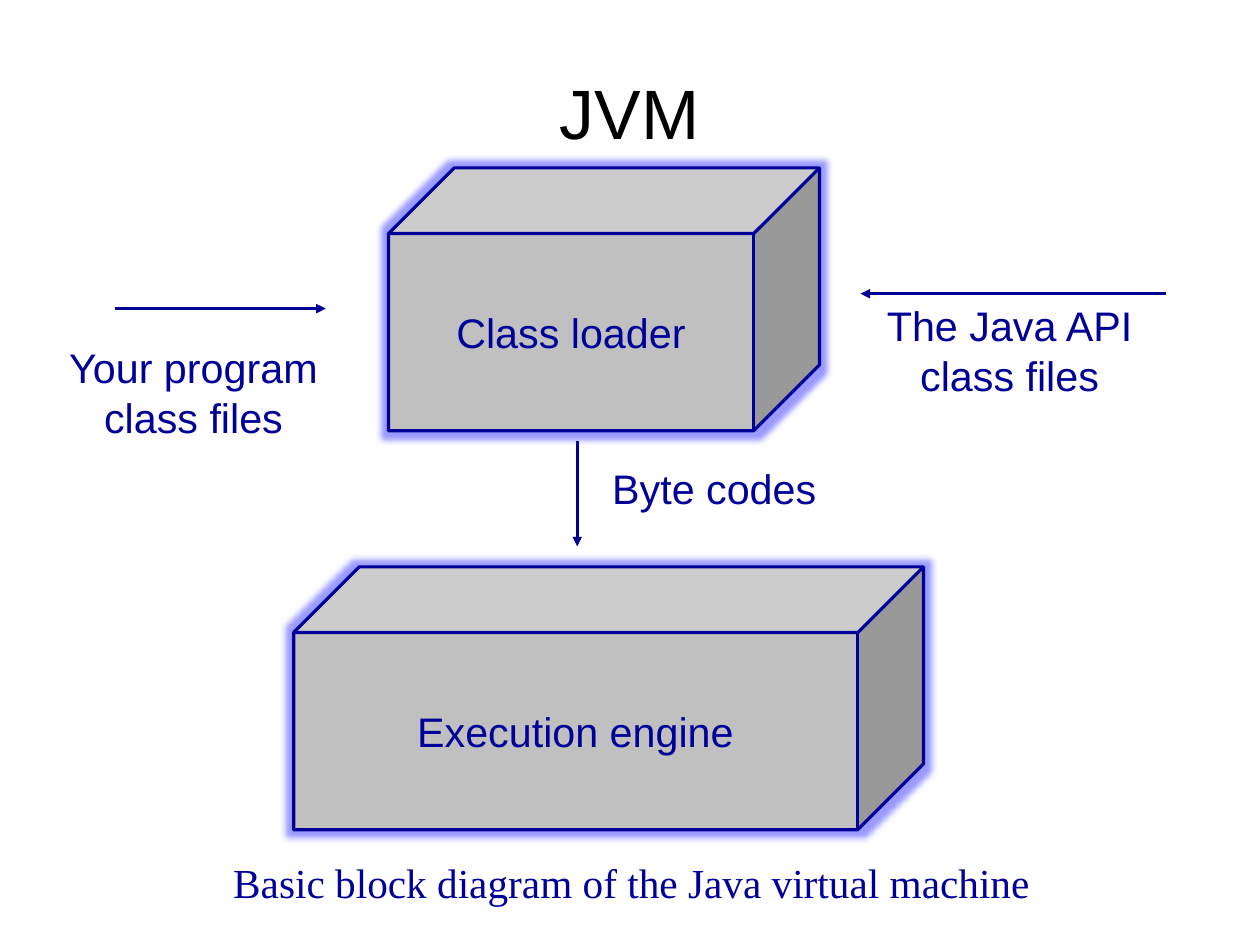
from lxml import etree
from pptx import Presentation
from pptx import util as u
from pptx.dml.color import RGBColor
from pptx.enum import shapes, text
from pptx.oxml.ns import qn

COLORS = {"ink": "000099", "title": "000000", "face": "C0C0C0", "glow": "9999FF"}
SANS, SERIF = "Arial", "Times New Roman"
LABEL_SIZE = 26
LINE_WIDTH = 2


def color(name):
    return RGBColor.from_string(COLORS[name])


def points(*values):
    return [u.Pt(value) for value in values]


def set_frame(frame, anchor, side=7.92, edge=4.32, wrap=False):
    frame.margin_left = frame.margin_right = u.Pt(side)
    frame.margin_top = frame.margin_bottom = u.Pt(edge)
    frame.vertical_anchor = anchor
    frame.word_wrap = wrap


def write(frame, lines, size=LABEL_SIZE, font=SANS, ink="ink", align=text.PP_ALIGN.CENTER):
    for index, line in enumerate(lines):
        para = frame.add_paragraph() if index else frame.paragraphs[0]
        para.alignment = align
        span = para.add_run()
        span.text = line
        span.font.size = u.Pt(size)
        span.font.name = font
        span.font.color.rgb = color(ink)


def style_line(line):
    line.color.rgb = color("ink")
    line.width = u.Pt(LINE_WIDTH)


def add_title(page, box, line):
    title = page.shapes.title
    title.left, title.top, title.width, title.height = points(*box)
    frame = title.text_frame
    set_frame(frame, text.MSO_ANCHOR.MIDDLE, 0, 0, wrap=True)
    frame.auto_size = text.MSO_AUTO_SIZE.NONE
    write(frame, [line], 44, ink="title")
    frame.paragraphs[0].line_spacing = 0.93


def add_block(page, box, line):
    """A glowing cube with its name on the front face."""
    cube = page.shapes.add_shape(shapes.MSO_SHAPE.CUBE, *points(*box))
    cube.adjustments[0] = 0.25
    cube.fill.solid()
    cube.fill.fore_color.rgb = color("face")
    style_line(cube.line)
    cube.shadow.inherit = False
    effects = cube._element.spPr.find(qn("a:effectLst"))
    glow = etree.SubElement(effects, qn("a:glow"), rad=str(u.Pt(8)))
    etree.SubElement(glow, qn("a:srgbClr"), val=COLORS["glow"])
    set_frame(cube.text_frame, text.MSO_ANCHOR.MIDDLE)
    write(cube.text_frame, [line])


def add_label(page, box, lines, wrap=False, **style):
    frame = page.shapes.add_textbox(*points(*box)).text_frame
    set_frame(frame, text.MSO_ANCHOR.TOP, wrap=wrap)
    frame.auto_size = text.MSO_AUTO_SIZE.SHAPE_TO_FIT_TEXT
    write(frame, lines, **style)


def add_flow(page, box, lines, start, end):
    """A label with its arrow; start and end are offsets from the box corner."""
    left, top = box[:2]
    arrow = page.shapes.add_connector(
        shapes.MSO_CONNECTOR.STRAIGHT,
        *points(left + start[0], top + start[1], left + end[0], top + end[1]))
    style_line(arrow.line)
    etree.SubElement(arrow.line._get_or_add_ln(), qn("a:tailEnd"), type="triangle")
    etree.SubElement(arrow._element.spPr, qn("a:effectLst"))
    add_label(page, box, lines)


def main():
    deck = Presentation()
    deck.slide_width, deck.slide_height = points(793.7, 595.28)
    page = deck.slides.add_slide(deck.slide_layouts[5])

    add_title(page, (39.6, 23.5, 714.2, 99.4), "JVM")

    # The two parts of the machine
    add_block(page, (244.8, 105.8, 271.4, 165.6), "Class loader")
    add_block(page, (185, 357.1, 396.7, 165.6), "Execution engine")

    # What flows into and between them
    add_flow(page, (33.1, 211.5, 177.8, 71.3), ["Your program", "class files"],
             (39.6, -17.1), (172.1, -17.1))
    add_flow(page, (548.6, 185, 175, 71.3), ["The Java API", "class files"],
             (185.8, 0), (-6.5, 0))
    add_flow(page, (376.6, 287.8, 146.9, 39.6), ["Byte codes"],
             (-13, -9.9), (-13, 56.4))

    # Caption
    add_label(page, (139, 535.5, 582.5, 39.6),
              ["Basic block diagram of the Java virtual machine"],
              wrap=True, font=SERIF, align=text.PP_ALIGN.LEFT)

    deck.save("out.pptx")


if __name__ == "__main__":
    main()
